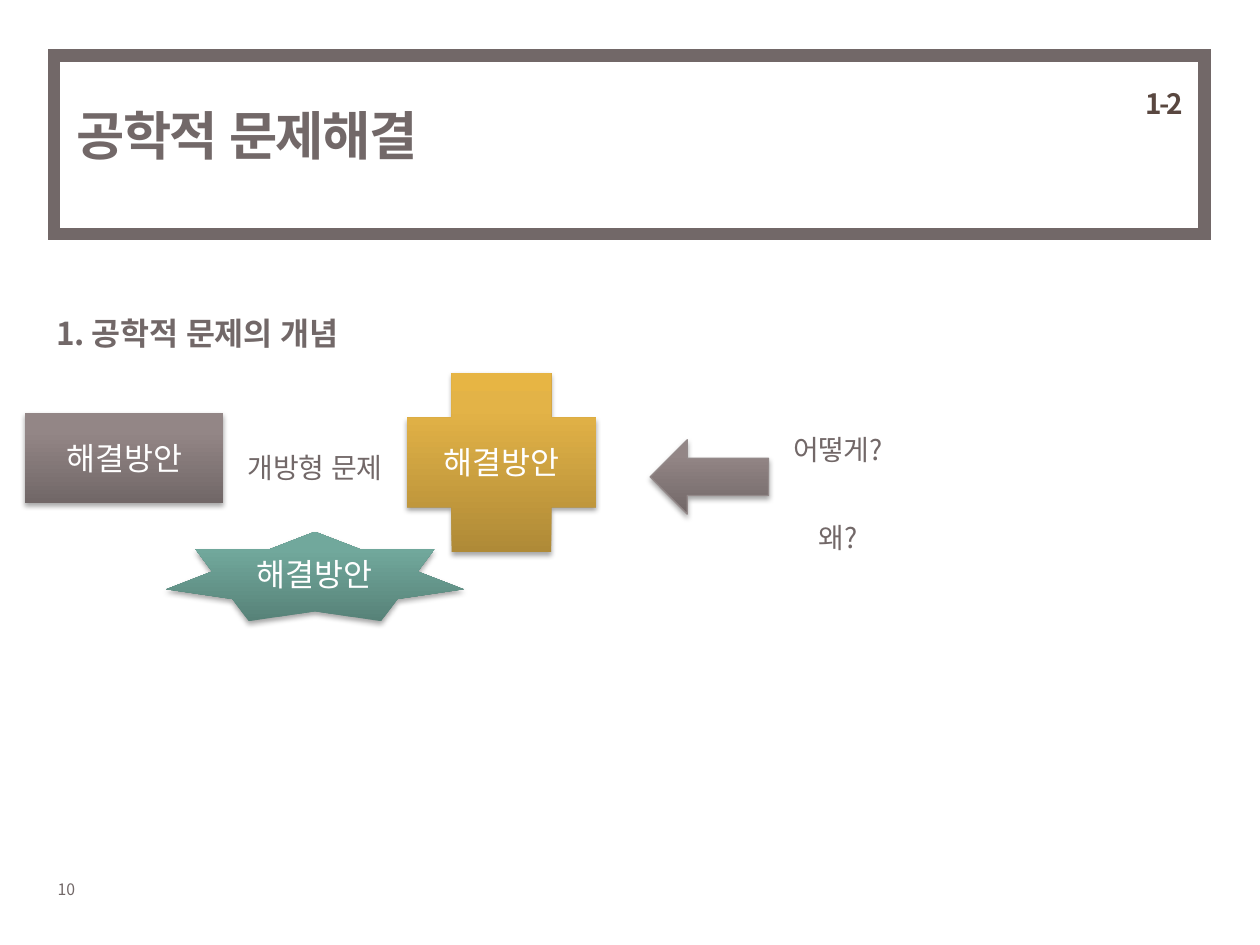
import pptx
import pptx.util
import pptx.dml.color
import pptx.enum.shapes
import pptx.enum.text
import pptx.oxml
import pptx.oxml.ns
from pptx.util import Inches, Pt

SHAPE = pptx.enum.shapes.MSO_SHAPE
ALIGN = pptx.enum.text.PP_ALIGN
ANCHOR = pptx.enum.text.MSO_ANCHOR
qn = pptx.oxml.ns.qn

# Content
FONT = "Noto Sans CJK KR"
INK = "726868"
TITLE = "공학적 문제해결"
BODY = dict(color=INK, spacing=-0.2, line=1.5, hang=0.25)
TEXTS = [  # text, box, format
    ("개방형 문제", (1.87, 3.39, 1.56, 0.49), dict(BODY, size=16)),
    ("1. 공학적 문제의 개념", (0.35, 2.29, 3.62, 0.39),
     dict(BODY, size=18, bold=True)),
    ("1-2", (7.69, 0.13, 1.8, 1.18),
     dict(size=16, color="594740", bold=True, spacing=-1.5, line=Pt(56),
          align=ALIGN.RIGHT)),
    ("어떻게?", (6.02, 3.25, 1.26, 0.49),
     dict(BODY, size=16, align=ALIGN.CENTER)),
    ("왜?", (6.02, 3.95, 1.26, 0.49),
     dict(BODY, size=16, align=ALIGN.CENTER)),
    ("10", (0.36, 6.93, 0.52, 0.25), dict(size=9, color=INK)),
]
GREY = ("716767", "938686", "948787")
GREEN = ("578278", "71A89C", "70AA9D")
GOLD = ("AF8A37", "E3B347", "E7B544")
SHAPES = [  # preset, box, gradient from bottom to top, line, text
    (SHAPE.RECTANGLE, (0.2, 3.28, 1.57, 0.71), GREY, None, "해결방안"),
    (SHAPE.STAR_7_POINT, (1.32, 4.22, 2.36, 0.71), GREEN, None, "해결방안"),
    (SHAPE.CROSS, (3.23, 2.96, 1.5, 1.42), GOLD, None, "해결방안"),
    (SHAPE.LEFT_ARROW, (5.16, 3.49, 0.94, 0.59), GREY, "938989", None),
]


def rgb(value):
    return pptx.dml.color.RGBColor.from_string(value)


def xml(markup):
    tag, rest = markup.split(" ", 1)
    ns = 'xmlns:a="http://schemas.openxmlformats.org/drawingml/2006/main"'
    return pptx.oxml.parse_xml(f"{tag} {ns} {rest}")


def place(sp, box):
    sp.left, sp.top, sp.width, sp.height = map(Inches, box)


def write(sp, text, size=16, color=INK, bold=False, spacing=None, line=None,
          hang=None, align=ALIGN.LEFT, anchor=ANCHOR.TOP, wrap=True):
    tf = sp.text_frame
    tf.word_wrap = wrap
    tf.vertical_anchor = anchor
    p = tf.paragraphs[0]
    p.alignment = align
    if line:
        p.line_spacing = line
    if hang:
        pPr = p._p.get_or_add_pPr()
        pPr.set("marL", str(Inches(hang)))
        pPr.set("indent", str(-Inches(hang)))
    r = p.add_run()
    r.text = text
    r.font.size = Pt(size)
    r.font.bold = bold
    r.font.name = FONT
    r.font.color.rgb = rgb(color)
    rPr = r._r.get_or_add_rPr()
    rPr.set("lang", "ko-KR")
    if spacing:
        rPr.set("spc", str(round(spacing * 100)))
    rPr.append(xml(f'<a:ea typeface="{FONT}"/>'))


def set_gradient(sp, colors):
    sp.fill.gradient()
    grad = sp._element.spPr.find(qn("a:gradFill"))
    stops = grad.find(qn("a:gsLst"))
    for gs in list(stops):
        stops.remove(gs)
    for pos, color in zip((0, 80, 100), colors):
        stops.append(xml(f'<a:gs pos="{pos * 1000}">'
                         f'<a:srgbClr val="{color}"/></a:gs>'))
    sp.fill.gradient_angle = 90  # counter-clockwise: bottom to top


def set_shadow(sp):
    sp.shadow.inherit = False
    sp._element.spPr.find(qn("a:effectLst")).append(xml(
        f'<a:outerShdw blurRad="{Pt(3.1)}" dist="{Pt(1.8)}" dir="5400000" '
        'rotWithShape="0"><a:srgbClr val="000000"><a:alpha val="35000"/>'
        '</a:srgbClr></a:outerShdw>'))


prs = pptx.Presentation()
prs.slide_width, prs.slide_height = Inches(10), Inches(7.5)
s = prs.slides.add_slide(prs.slide_layouts[5])

# Title and its frame
place(s.shapes.title, (0.51, 0.44, 7.17, 1.26))
write(s.shapes.title, TITLE, size=30, bold=True, spacing=-1,
      anchor=ANCHOR.MIDDLE)
frame = s.shapes.add_shape(SHAPE.RECTANGLE,
                           *map(Inches, (0.43, 0.44, 9.13, 1.42)))
frame.shadow.inherit = False
frame.fill.background()
frame.line.color.rgb = rgb(INK)
frame.line.width = Pt(7)
frame.line._get_or_add_ln().append(xml('<a:miter lim="800000"/>'))

# Solution shapes and arrow
for preset, box, colors, line, text in SHAPES:
    sp = s.shapes.add_shape(preset, *map(Inches, box))
    set_gradient(sp, colors)
    if line:
        sp.line.color.rgb = rgb(line)
        sp.line.width = Pt(0.75)
    else:
        sp.line.fill.background()
    set_shadow(sp)
    if text:
        write(sp, text, size=18, color="FFFFFF", align=ALIGN.CENTER,
              anchor=ANCHOR.MIDDLE)

# Labels and page number
for text, box, fmt in TEXTS:
    write(s.shapes.add_textbox(*map(Inches, box)), text, **fmt)

prs.save("out.pptx")
